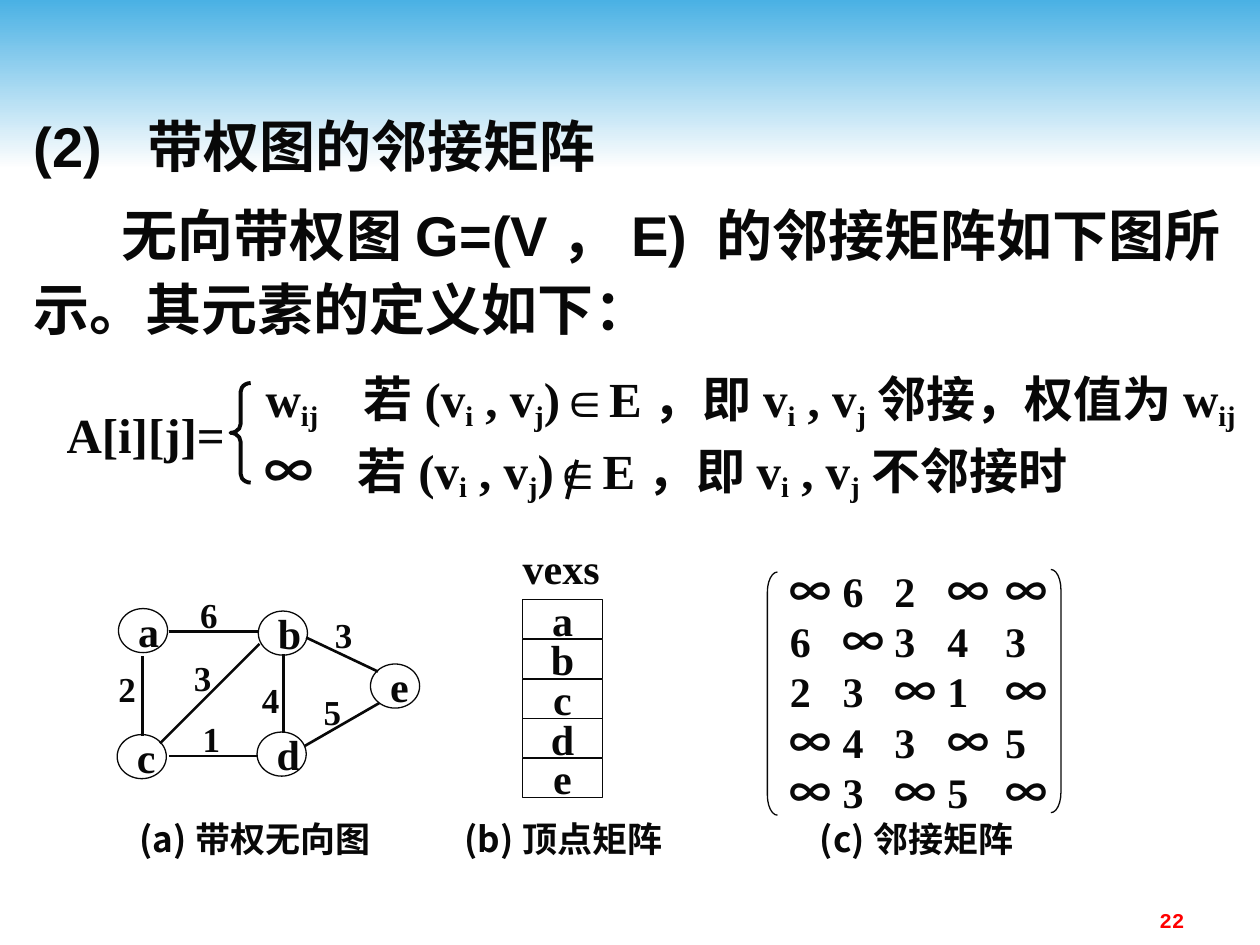
"""Build the slide on the adjacency matrix of a weighted graph."""
from dataclasses import dataclass

from lxml import etree
from pptx import Presentation
from pptx.dml.color import RGBColor
from pptx.enum.shapes import MSO_CONNECTOR, MSO_SHAPE
from pptx.enum.text import MSO_ANCHOR, PP_ALIGN
from pptx.oxml.ns import qn
from pptx.util import Inches, Pt

LEFT, CENTER, RIGHT = PP_ALIGN.LEFT, PP_ALIGN.CENTER, PP_ALIGN.RIGHT
TOP, MIDDLE = MSO_ANCHOR.TOP, MSO_ANCHOR.MIDDLE
RECTANGLE, OVAL = MSO_SHAPE.RECTANGLE, MSO_SHAPE.OVAL
LEFT_BRACE = MSO_SHAPE.LEFT_BRACE
LEFT_BRACKET, RIGHT_BRACKET = MSO_SHAPE.LEFT_BRACKET, MSO_SHAPE.RIGHT_BRACKET
STRAIGHT = MSO_CONNECTOR.STRAIGHT


@dataclass(frozen=True)
class Theme:
    """Colours, fonts and sizes of the slide."""
    ink: str = "080808"
    accent: str = "FF0000"
    sky: str = "4AB1E4"
    pale: str = "FEFEFE"
    serif: str = "Times New Roman"
    sans: str = "Arial"
    cjk: str = "Noto Sans CJK SC"
    mono: str = "Courier New"
    heading: int = 32
    formula: int = 28
    body: int = 24
    label: int = 20
    number: int = 12
    thin: float = 0.75
    medium: float = 1.5
    thick: float = 2.25


THEME = Theme()
SUBSCRIPT = {"subscript": True}
SYMBOL = {"font": THEME.sans}

HEADING = [("(2)\t带权图的邻接矩阵", {})]
INTRODUCTION = [("无向带权图G=(V，E) 的邻接矩阵如下图所示。其元素的定义如下：", {})]
PAIR = [("v", {}), ("i", SUBSCRIPT), (" , v", {}), ("j", SUBSCRIPT)]
CONDITION = [("若(", {}), *PAIR, (")", {}), ("∈", SYMBOL), ("E，即", {}), *PAIR]
WEIGHT = [("w", {}), ("ij", SUBSCRIPT)]
CASES = [
    ((2.01, 2.92, 7.95, 0.51), 0.78,
     [*WEIGHT, ("\t", {}), *CONDITION, ("邻接，权值为", {}), *WEIGHT]),
    ((2, 3.49, 6.8, 0.51), 0.74,
     [("∞\t", {}), *CONDITION, ("不邻接时", {})]),
]
CAPTIONS = [("(a)带权无向图", 1.01), ("(b)顶点矩阵", 3.59), ("(c)邻接矩阵", 6.41)]
NODES = {"a": (0.94, 4.83), "b": (2.05, 4.85), "c": (0.93, 5.83),
         "d": (2.04, 5.81), "e": (2.94, 5.27)}
EDGES = [
    ("6", (1.49, 4.72), (1.34, 5.01), (2.05, 5.01)),
    ("2", (0.84, 5.31), (1.13, 5.21), (1.13, 5.84)),
    ("3", (1.44, 5.22), (1.27, 5.9), (2.06, 5.11)),
    ("4", (1.98, 5.4), (2.25, 5.19), (2.25, 5.82)),
    ("1", (1.51, 5.71), (1.34, 6), (2.05, 6)),
    ("3", (2.56, 4.88), (3, 5.33), (2.43, 5.06)),
    ("5", (2.47, 5.49), (2.42, 5.92), (3.01, 5.58)),
]
MATRIX = ["∞62∞∞", "6∞343", "23∞1∞", "∞43∞5", "∞3∞5∞"]
MATRIX_TABS = (0.42, 0.83, 1.25, 1.71)
MATRIX_TOP, MATRIX_PITCH = 4.51, 0.4
CELL_TOP, CELL_PITCH = 4.76, 0.315
DELIMITERS = [
    (LEFT_BRACE, (1.83, 3.04, 0.16, 0.79), 0.44, THEME.thick),
    (LEFT_BRACKET, (6.09, 4.54, 0.08, 1.93), 2, THEME.thin),
    (RIGHT_BRACKET, (8.34, 4.52, 0.08, 1.93), 2, THEME.thin),
]


def write(paragraph, runs, font=THEME.serif, size=THEME.body, color=THEME.ink,
          align=LEFT, tabs=(), indent=0):
    """Fill a paragraph with formatted runs."""
    paragraph.alignment = align
    properties = paragraph._p.get_or_add_pPr()
    if indent:
        properties.set("indent", str(Inches(indent)))
    if tabs:
        tab_list = etree.SubElement(properties, qn("a:tabLst"))
        for position in tabs:
            etree.SubElement(tab_list, qn("a:tab"), pos=str(Inches(position)), algn="l")
    for text, style in runs:
        run = paragraph.add_run()
        run.text = text
        run.font.size = Pt(size)
        run.font.bold = True
        run.font.color.rgb = RGBColor.from_string(color)
        run.font.name = style.get("font", font)
        run_properties = run._r.get_or_add_rPr()
        etree.SubElement(run_properties, qn("a:ea"), typeface=THEME.cjk)
        if style.get("subscript"):
            run_properties.set("baseline", "-18000")


def prepare_frame(shape, anchor=MIDDLE, wrap=False):
    """Set wrapping and anchoring, and return the first paragraph."""
    frame = shape.text_frame
    frame.word_wrap = wrap
    frame.vertical_anchor = anchor
    return frame.paragraphs[0]


def add_text(slide, runs, box, anchor=MIDDLE, wrap=False, **style):
    """Add a text box holding one paragraph."""
    shape = slide.shapes.add_textbox(*map(Inches, box))
    write(prepare_frame(shape, anchor, wrap), runs, **style)
    return shape


def add_outline(slide, kind, box, width=THEME.thin):
    """Add an unfilled preset shape."""
    shape = slide.shapes.add_shape(kind, *map(Inches, box))
    shape.shadow.inherit = False
    shape.fill.background()
    shape.line.color.rgb = RGBColor.from_string(THEME.ink)
    shape.line.width = Pt(width)
    return shape


def add_line(slide, start, end, width):
    """Add a straight line without a shadow."""
    line = slide.shapes.add_connector(STRAIGHT, *map(Inches, (*start, *end)))
    line.line.color.rgb = RGBColor.from_string(THEME.ink)
    line.line.width = Pt(width)
    etree.SubElement(line._element.spPr, qn("a:effectLst"))


def add_banner(slide):
    """Add the gradient band along the top."""
    banner = add_outline(slide, RECTANGLE, (0, 0, 10, 1.33))
    banner.line.fill.background()
    banner.fill.gradient()
    banner.fill.gradient_angle = 270
    for stop, position, color in zip(banner.fill.gradient_stops, (0, 1), (THEME.sky, THEME.pale)):
        stop.position = position
        stop.color.rgb = RGBColor.from_string(color)


def add_definition(slide):
    """Add the heading, the introduction and the formula."""
    shape = add_text(slide, HEADING, (0.17, 0.9, 9.64, 1.76), anchor=TOP, wrap=True,
                     font=THEME.sans, size=THEME.heading, tabs=(0.9,))
    shape.text_frame.paragraphs[0].line_spacing = 0.9
    paragraph = shape.text_frame.add_paragraph()
    paragraph.line_spacing = 1.1
    paragraph.space_before = Pt(8)
    write(paragraph, INTRODUCTION, font=THEME.sans, size=THEME.heading, indent=0.7)
    add_text(slide, [("A[i][j]=", {})], (0.43, 3.21, 1.6, 0.47), size=THEME.formula)
    for box, tab, runs in CASES:
        add_text(slide, runs, box, size=THEME.formula, tabs=(tab,))
    add_line(slide, (4.58, 3.65), (4.5, 3.96), THEME.thick)


def add_graph(slide):
    """Add the weighted graph."""
    for name, position in NODES.items():
        node = add_outline(slide, OVAL, (*position, 0.39, 0.35))
        write(prepare_frame(node), [(name, {})])
    for weight, position, start, end in EDGES:
        add_line(slide, start, end, THEME.medium)
        add_text(slide, [(weight, {})], (*position, 0.31, 0.31), size=THEME.label)


def add_matrices(slide):
    """Add the vertex cells and the adjacency matrix."""
    add_text(slide, [("vexs", {})], (4.05, 4.33, 1, 0.35))
    for index, (name, row) in enumerate(zip(NODES, MATRIX)):
        cell = add_outline(slide, RECTANGLE, (4.15, CELL_TOP + index * CELL_PITCH, 0.63, 0.31))
        write(prepare_frame(cell), [(name, {})], align=CENTER)
        runs = [("\t" * (column > 0) + value, {"font": THEME.cjk if value == "∞" else THEME.serif})
                for column, value in enumerate(row)]
        add_text(slide, runs, (6.17, MATRIX_TOP + index * MATRIX_PITCH, 2.24, 0.35),
                 tabs=MATRIX_TABS)


def main():
    """Build and save the presentation."""
    presentation = Presentation()
    presentation.slide_width, presentation.slide_height = Inches(10), Inches(7.5)
    slide = presentation.slides.add_slide(presentation.slide_layouts[6])
    add_banner(slide)
    add_definition(slide)
    add_graph(slide)
    add_matrices(slide)
    for kind, box, curve, width in DELIMITERS:
        add_outline(slide, kind, box, width).adjustments[0] = curve
    for caption, left in CAPTIONS:
        add_text(slide, [(caption, {})], (left, 6.48, 2.2, 0.35), font=THEME.cjk, size=THEME.label)
    add_text(slide, [("22", {})], (7.17, 7.15, 2.33, 0.27), anchor=TOP, wrap=True,
             font=THEME.mono, size=THEME.number, color=THEME.accent, align=RIGHT)
    presentation.save("out.pptx")


if __name__ == "__main__":
    main()
